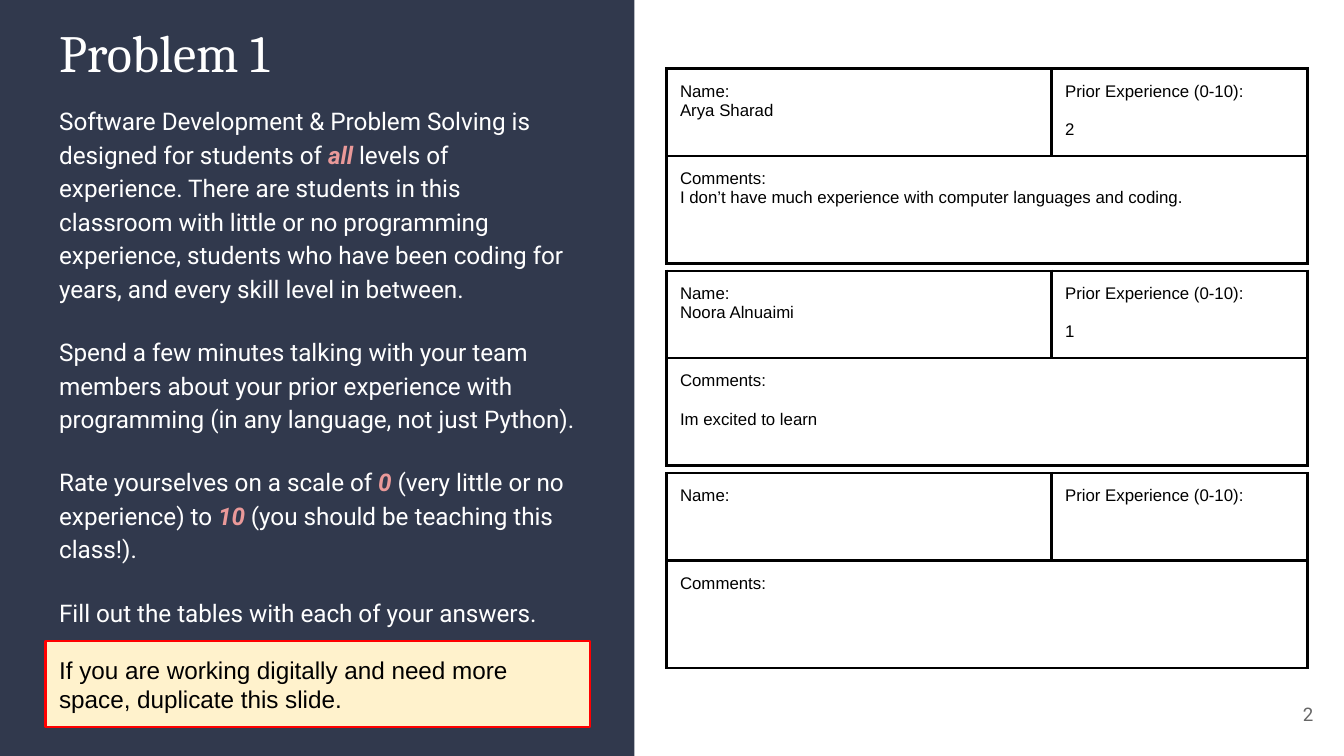
from typing import NamedTuple

from lxml import etree
from pptx import Presentation
from pptx.dml.color import RGBColor
from pptx.enum.shapes import MSO_SHAPE
from pptx.enum.text import MSO_ANCHOR, MSO_AUTO_SIZE, PP_ALIGN
from pptx.oxml.ns import qn
from pptx.util import Inches, Pt

RECT = MSO_SHAPE.RECTANGLE
TOP, MIDDLE = MSO_ANCHOR.TOP, MSO_ANCHOR.MIDDLE
LEFT, RIGHT = PP_ALIGN.LEFT, PP_ALIGN.RIGHT
NO_FIT = MSO_AUTO_SIZE.NONE

NAVY = RGBColor(0x31, 0x39, 0x4D)
WHITE = RGBColor(0xFF, 0xFF, 0xFF)
BLACK = RGBColor(0, 0, 0)
PINK = RGBColor(0xEA, 0x99, 0x99)
CREAM = RGBColor(0xFF, 0xF2, 0xCC)
RED = RGBColor(0xFF, 0, 0)
GREY = RGBColor(0x66, 0x66, 0x66)

WIDTH, HEIGHT = Inches(10), Inches(5.625)
INSET = Inches(0.1)
BORDER = Pt(1.5)
LINE_GAP = 10.35  # one line of 9 pt text


class Box(NamedTuple):
    """A place on a grid of 100 columns by 100 rows."""
    left: float
    top: float
    width: float
    height: float


class Style(NamedTuple):
    size: float
    font: str
    color: RGBColor
    strong: bool = False


class Answer(NamedTuple):
    name: str = ""
    rating: str = ""
    comment: str = ""
    comment_gap: float = 0


BODY = Style(13, "Roboto", WHITE)
ACCENT = Style(13, "Roboto", PINK, True)
CELL = Style(9, "Arial", BLACK)

PANEL_BOX = Box(0, 0, 47.2, 100)
TITLE_BOX = Box(3.4, 0.89, 40.5, 12.44)
BODY_BOX = Box(3.4, 11.73, 40.5, 73.07)
NOTE_BOX = Box(3.4, 84.8, 40.5, 11.38)
NUMBER_BOX = Box(92.7, 90.67, 6, 7.64)
TABLE_LEFT, TABLE_TOP, TABLE_STEP = 49.6, 9.07, 26.76
TABLE_COLS, TABLE_ROWS = (28.65, 19.05), (11.56, 14.22)

# Runs alternate between plain and accented text.
PARAGRAPHS = [
    ["Software Development & Problem Solving is designed for students of ", "all ",
     "levels of experience. There are students in this classroom with little or no "
     "programming experience, students who have been coding for years, and every "
     "skill level in between."],
    ["Spend a few minutes talking with your team members about your prior experience "
     "with programming (in any language, not just Python)."],
    ["Rate yourselves on a scale of ", "0", " (very little or no experience) to ",
     "10", " (you should be teaching this class!)."],
    ["Fill out the tables with each of your answers."],
]
ANSWERS = [
    Answer("Arya Sharad", "2",
           "I don’t have much experience with computer languages and coding."),
    Answer("Noora Alnuaimi", "1", "Im excited to learn", LINE_GAP),
    Answer(),
]


def col(n: float) -> int:
    return round(WIDTH * n / 100)


def row(n: float) -> int:
    return round(HEIGHT * n / 100)


def emu(box: Box) -> tuple:
    return col(box.left), row(box.top), col(box.width), row(box.height)


def place(sp, box: Box) -> None:
    sp.left, sp.top, sp.width, sp.height = emu(box)


def set_frame(tf, anchor) -> None:
    tf.word_wrap = True
    tf.auto_size = NO_FIT
    tf.vertical_anchor = anchor
    tf.margin_left = tf.margin_right = tf.margin_top = tf.margin_bottom = INSET


def add_run(p, text: str, style: Style) -> None:
    r = p.add_run()
    r.text = text
    f = r.font
    f.size, f.name = Pt(style.size), style.font
    f.bold = f.italic = style.strong
    f.color.rgb = style.color


def set_paragraph(p, before: float = 0, spacing: float = 1.0, align=LEFT) -> None:
    """Spacing and alignment, without bullet or indent."""
    p.alignment = align
    p.space_before, p.space_after = Pt(before), Pt(0)
    p.line_spacing = spacing
    pPr = p._p.get_or_add_pPr()
    pPr.set("marL", "0")
    pPr.set("indent", "0")
    etree.SubElement(pPr, qn("a:buNone"))


def write_line(sp, box: Box, text: str, style: Style, anchor=TOP, align=LEFT) -> None:
    place(sp, box)
    set_frame(sp.text_frame, anchor)
    p = sp.text_frame.paragraphs[0]
    set_paragraph(p, align=align)
    add_run(p, text, style)


def write_body(sp) -> None:
    place(sp, BODY_BOX)
    tf = sp.text_frame
    set_frame(tf, TOP)
    for i, runs in enumerate(PARAGRAPHS):
        p = tf.add_paragraph() if i else tf.paragraphs[0]
        set_paragraph(p, 16 if i else 0, 1.15)
        for j, text in enumerate(runs):
            add_run(p, text, ACCENT if j % 2 else BODY)


def format_cell(cell) -> None:
    """Clear the fill and draw all four borders."""
    cell.fill.background()
    cell.margin_left = cell.margin_right = INSET
    cell.margin_top = cell.margin_bottom = INSET
    tcPr = cell._tc.get_or_add_tcPr()
    for i, side in enumerate(("a:lnL", "a:lnR", "a:lnT", "a:lnB")):
        ln = etree.Element(qn(side), w=str(BORDER))
        fill = etree.SubElement(ln, qn("a:solidFill"))
        etree.SubElement(fill, qn("a:srgbClr"), val=str(BLACK))
        tcPr.insert(i, ln)


def write_cell(cell, label: str, value: str, gap: float = 0) -> None:
    tf = cell.text_frame
    add_run(tf.paragraphs[0], label, CELL)
    if value:
        p = tf.add_paragraph()
        p.space_before = Pt(gap)
        add_run(p, value, CELL)


def add_answer(s, top: float, answer: Answer) -> None:
    box = Box(TABLE_LEFT, top, sum(TABLE_COLS), sum(TABLE_ROWS))
    table = s.shapes.add_table(2, 2, *emu(box)).table
    table.first_row = table.horz_banding = False
    for i in range(2):
        table.columns[i].width = col(TABLE_COLS[i])
        table.rows[i].height = row(TABLE_ROWS[i])
    for cell in table.iter_cells():
        format_cell(cell)
    table.cell(1, 0).merge(table.cell(1, 1))
    write_cell(table.cell(0, 0), "Name:", answer.name)
    write_cell(table.cell(0, 1), "Prior Experience (0-10):", answer.rating, LINE_GAP)
    write_cell(table.cell(1, 0), "Comments:", answer.comment, answer.comment_gap)


def main() -> None:
    prs = Presentation()
    prs.slide_width, prs.slide_height = WIDTH, HEIGHT
    s = prs.slides.add_slide(prs.slide_layouts[3])
    title, body, note = s.placeholders

    panel = s.shapes.add_shape(RECT, *emu(PANEL_BOX))
    panel.shadow.inherit = False
    panel.fill.solid()
    panel.fill.fore_color.rgb = NAVY
    panel.line.fill.background()
    title.element.addprevious(panel.element)

    write_line(title, TITLE_BOX, "Problem 1", Style(28, "Cambria", WHITE))
    write_body(body)
    write_line(note, NOTE_BOX, "If you are working digitally and need more space, "
               "duplicate this slide.", Style(13, "Arial", BLACK), MIDDLE)
    note.fill.solid()
    note.fill.fore_color.rgb = CREAM
    note.line.color.rgb = RED
    note.line.width = BORDER

    number = s.shapes.add_textbox(*emu(NUMBER_BOX))
    write_line(number, NUMBER_BOX, "2", Style(10, "Roboto", GREY), MIDDLE, RIGHT)
    for i, answer in enumerate(ANSWERS):
        add_answer(s, TABLE_TOP + i * TABLE_STEP, answer)
    prs.save("out.pptx")


if __name__ == "__main__":
    main()
